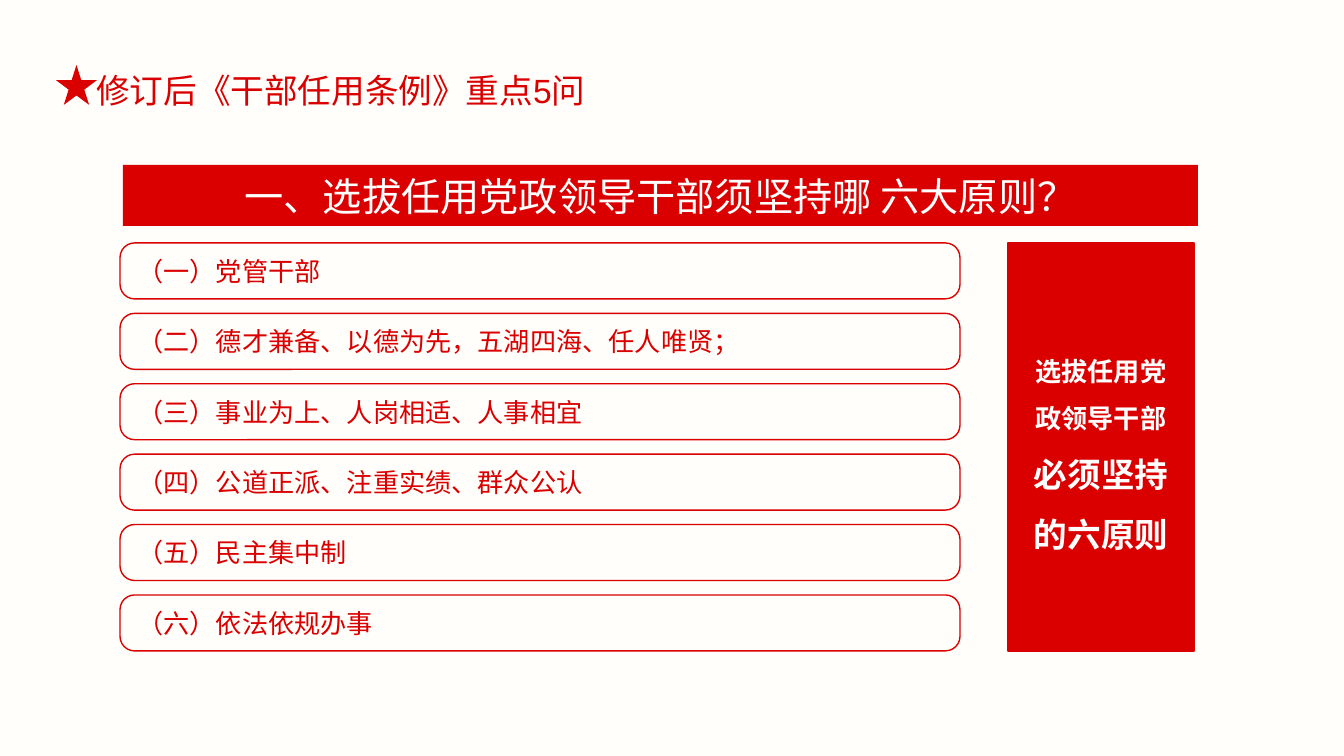
from dataclasses import dataclass

from pptx import Presentation
from pptx import util as u
from pptx.dml.color import RGBColor
from pptx.enum import shapes, text
from pptx.oxml.ns import qn
from lxml import etree

EMU_PER_PX = 914400 / 134.4


@dataclass(frozen=True)
class Theme:
    red: RGBColor = RGBColor(0xDA, 0x00, 0x00)
    white: RGBColor = RGBColor(0xFF, 0xFF, 0xFF)
    background: RGBColor = RGBColor(0xFF, 0xFE, 0xFB)
    latin_font: str = "Arial"
    cjk_font: str = "Noto Sans CJK SC"
    title_size: int = 18
    banner_size: int = 21
    body_size: int = 14
    emphasis_size: int = 18


THEME = Theme()

PRINCIPLES = [
    "（一）党管干部",
    "（二）德才兼备、以德为先，五湖四海、任人唯贤；",
    "（三）事业为上、人岗相适、人事相宜",
    "（四）公道正派、注重实绩、群众公认",
    "（五）民主集中制",
    "（六）依法依规办事",
]
SUMMARY = [
    ("选拔任用党", THEME.body_size),
    ("政领导干部", THEME.body_size),
    ("必须坚持", THEME.emphasis_size),
    ("的六原则", THEME.emphasis_size),
]
LIST_TOP, LIST_HEIGHT, ROW_HEIGHT = 243, 408, 56


def px(length):
    return u.Emu(round(length * EMU_PER_PX))


def style_paragraph(paragraph, size, color, font_name=THEME.cjk_font, bold=False):
    """Set the Latin font and the East Asian font together."""
    font = paragraph.font
    font.size = u.Pt(size)
    font.bold = bold
    font.color.rgb = color
    font.name = font_name
    properties = paragraph._p.find(qn("a:pPr")).find(qn("a:defRPr"))
    etree.SubElement(properties, qn("a:ea"), typeface=THEME.cjk_font)


def add_panel(slide, kind, left, top, width, height, fill=None, line_width=None):
    shape = slide.shapes.add_shape(kind, px(left), px(top), px(width), px(height))
    shape.shadow.inherit = False
    if fill is None:
        shape.fill.background()
    else:
        shape.fill.solid()
        shape.fill.fore_color.rgb = fill
    if line_width is None:
        shape.line.fill.background()
    else:
        shape.line.color.rgb = THEME.red
        shape.line.width = u.Pt(line_width)
    shape.text_frame.word_wrap = True
    shape.text_frame.vertical_anchor = text.MSO_ANCHOR.MIDDLE
    return shape


def add_title(slide):
    add_panel(slide, shapes.MSO_SHAPE.STAR_5_POINT, 56, 65, 41, 40, THEME.red)
    box = slide.shapes.add_textbox(px(83), px(63), px(522), px(54))
    box.text_frame.word_wrap = True
    paragraph = box.text_frame.paragraphs[0]
    paragraph.text = "修订后《干部任用条例》重点5问"
    style_paragraph(paragraph, THEME.title_size, THEME.red, THEME.latin_font)


def add_banner(slide):
    banner = add_panel(
        slide, shapes.MSO_SHAPE.RECTANGLE, 123, 165, 1075, 61, THEME.red)
    paragraph = banner.text_frame.paragraphs[0]
    paragraph.text = "一、选拔任用党政领导干部须坚持哪 六大原则？"
    paragraph.alignment = text.PP_ALIGN.CENTER
    style_paragraph(paragraph, THEME.banner_size, THEME.white)


def add_principle(slide, top, wording):
    row = add_panel(slide, shapes.MSO_SHAPE.ROUNDED_RECTANGLE,
                    120, top, 840, ROW_HEIGHT, line_width=0.75)
    row.adjustments[0] = 0.26
    paragraph = row.text_frame.paragraphs[0]
    paragraph.text = wording
    paragraph.alignment = text.PP_ALIGN.LEFT
    style_paragraph(paragraph, THEME.body_size, THEME.red)


def add_summary(slide):
    panel = add_panel(slide, shapes.MSO_SHAPE.RECTANGLE, 1008, LIST_TOP,
                      186, LIST_HEIGHT, THEME.red, line_width=1)
    frame = panel.text_frame
    frame.text = "\n".join(wording for wording, _ in SUMMARY)
    for paragraph, (_, size) in zip(frame.paragraphs, SUMMARY):
        paragraph.alignment = text.PP_ALIGN.CENTER
        paragraph.line_spacing = 1.5
        style_paragraph(paragraph, size, THEME.white, bold=True)


def main():
    presentation = Presentation()
    presentation.slide_width = px(1344)
    presentation.slide_height = px(756)
    slide = presentation.slides.add_slide(presentation.slide_layouts[6])
    slide.background.fill.solid()
    slide.background.fill.fore_color.rgb = THEME.background

    add_title(slide)
    add_banner(slide)
    pitch = (LIST_HEIGHT - ROW_HEIGHT) / (len(PRINCIPLES) - 1)
    for index, wording in enumerate(PRINCIPLES):
        add_principle(slide, LIST_TOP + index * pitch, wording)
    add_summary(slide)
    presentation.save("out.pptx")


if __name__ == "__main__":
    main()
